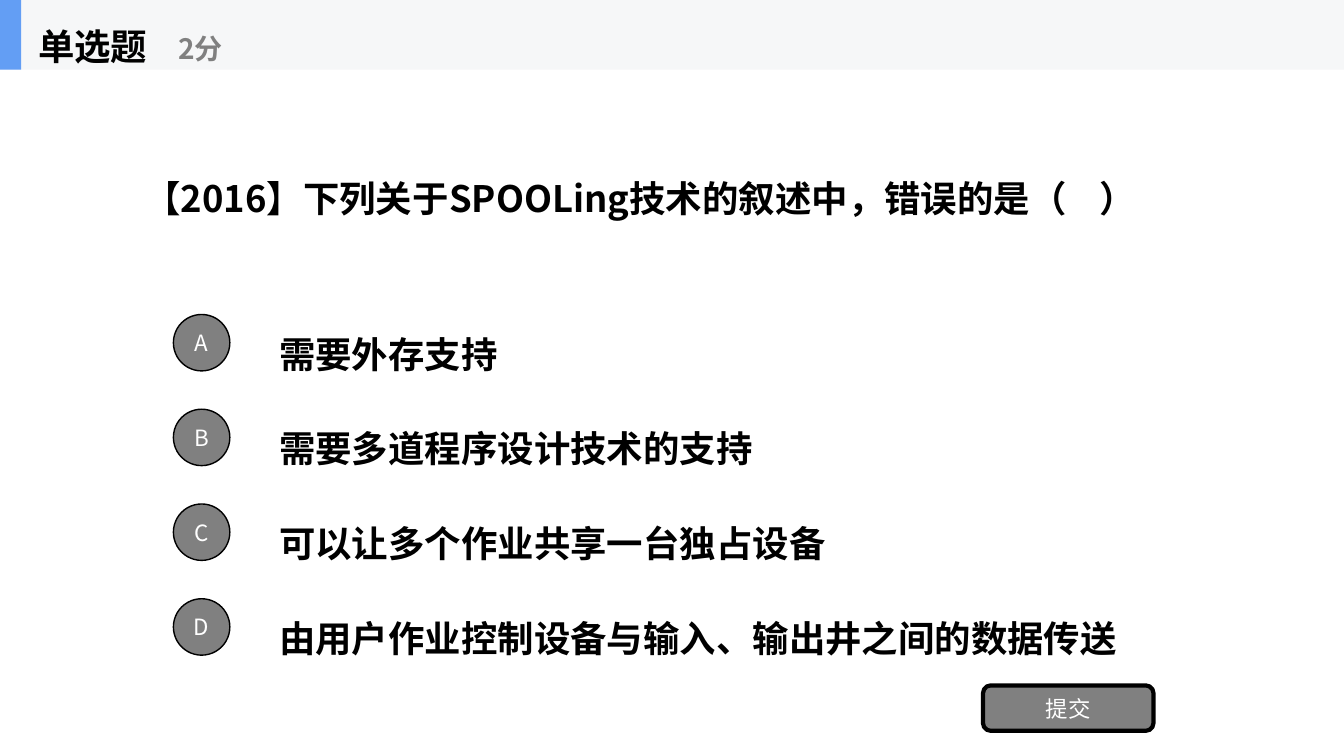
from lxml import etree
from pptx import Presentation
from pptx.dml.color import RGBColor
from pptx.enum.shapes import MSO_SHAPE
from pptx.enum.text import MSO_ANCHOR, MSO_AUTO_SIZE, PP_ALIGN
from pptx.oxml.ns import qn
from pptx.util import Inches, Pt

RECT = MSO_SHAPE.RECTANGLE
ROUND = MSO_SHAPE.ROUNDED_RECTANGLE
OVAL = MSO_SHAPE.OVAL
MIDDLE = MSO_ANCHOR.MIDDLE
FIXED = MSO_AUTO_SIZE.NONE
LEFT = PP_ALIGN.LEFT
CENTER = PP_ALIGN.CENTER

BLACK = RGBColor(0x00, 0x00, 0x00)
WHITE = RGBColor(0xFF, 0xFF, 0xFF)
GRAY = RGBColor(0x80, 0x80, 0x80)
PALE = RGBColor(0xF6, 0xF7, 0xF8)
BLUE = RGBColor(0x63, 0x9E, 0xF4)

FACE = "Noto Sans CJK SC"
HANG = Inches(0.38)
OPTIONS = [
    ("A", "需要外存支持"),
    ("B", "需要多道程序设计技术的支持"),
    ("C", "可以让多个作业共享一台独占设备"),
    ("D", "由用户作业控制设备与输入、输出井之间的数据传送"),
]


class Quiz:
    def __init__(self, deck):
        self.slide = deck.slides.add_slide(deck.slide_layouts[5])
        self.home = self.slide.shapes

    def label(self, shape, text, size, color, bold, align, space):
        frame = shape.text_frame
        look = {"word_wrap": True, "auto_size": FIXED, "vertical_anchor": MIDDLE}
        for key, value in look.items():
            setattr(frame, key, value)
        para = frame.paragraphs[0]
        form = {"alignment": align, "line_spacing": space, "space_before": Pt(0)}
        for key, value in form.items():
            setattr(para, key, value)
        run = para.add_run()
        run.text = text
        font = run.font
        style = {"name": FACE, "size": Pt(size), "bold": bold}
        for key, value in style.items():
            setattr(font, key, value)
        font.color.rgb = color
        east = etree.SubElement(run._r.get_or_add_rPr(), qn("a:ea"))
        east.set("typeface", FACE)
        return para

    def body(self, shape, text, size=26, color=BLACK):
        para = self.label(shape, text, size, color, True, LEFT, 1.5)
        props = para._p.get_or_add_pPr()
        props.set("marL", str(HANG))
        props.set("indent", str(-HANG))

    def title(self, box, text):
        shape = self.slide.shapes.title
        names = ("left", "top", "width", "height")
        for key, value in zip(names, box):
            setattr(shape, key, Inches(value))
        self.body(shape, text)

    def text(self, box, text, **style):
        shape = self.home.add_textbox(*map(Inches, box))
        self.body(shape, text, **style)

    def block(self, kind, box, fill, line=0):
        shape = self.home.add_shape(kind, *map(Inches, box))
        shape.shadow.inherit = False
        shape.fill.solid()
        shape.fill.fore_color.rgb = fill
        if line:
            shape.line.color.rgb = BLACK
            shape.line.width = Pt(line)
        else:
            shape.line.fill.background()
        return shape

    def button(self, kind, box, text, line):
        shape = self.block(kind, box, GRAY, line)
        frame = shape.text_frame
        for side in ("left", "top", "right", "bottom"):
            setattr(frame, "margin_" + side, 0)
        self.label(shape, text, 16, WHITE, False, CENTER, 1.0)

    def header(self):
        self.home = self.slide.shapes.add_group_shape().shapes
        self.block(RECT, (0, 0, 13.33, 0.69), PALE)
        self.block(RECT, (0, 0, 0.21, 0.69), BLUE)
        self.text((0.28, 0, 2.08, 0.69), "单选题")
        self.text((1.67, 0.12, 2.5, 0.56), "2分", size=20, color=GRAY)
        self.home = self.slide.shapes


def main():
    deck = Presentation()
    deck.slide_width = Inches(13.33)
    deck.slide_height = Inches(7.5)
    quiz = Quiz(deck)
    quiz.title((1.33, 0.69, 10.67, 2.34),
               "【2016】下列关于SPOOLing技术的叙述中，错误的是（    ）")
    for row, (mark, text) in enumerate(OPTIONS):
        top = 3.05 + 0.94 * row
        quiz.text((2.67, top, 9.33, 0.7), text)
        quiz.button(OVAL, (1.72, top + 0.07, 0.56, 0.56), mark, 1)
    quiz.button(ROUND, (9.75, 6.8, 1.69, 0.45), "提交", 3)
    quiz.header()
    deck.save("out.pptx")


if __name__ == "__main__":
    main()
